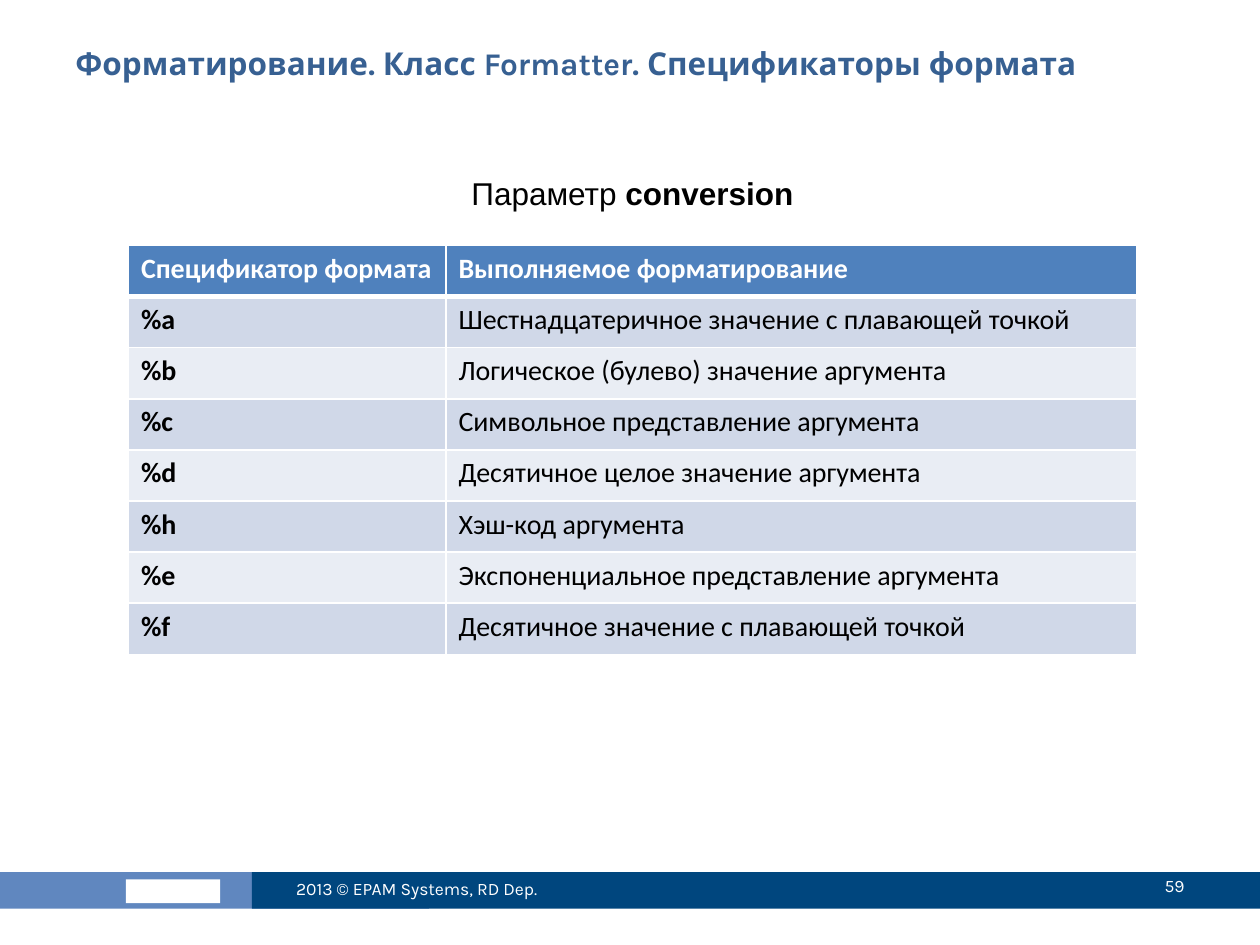
from lxml import etree
from pptx import Presentation
from pptx.dml.color import RGBColor
from pptx.enum.shapes import MSO_SHAPE
from pptx.enum.text import MSO_ANCHOR, PP_ALIGN
from pptx.oxml.ns import qn
from pptx.util import Cm, Pt

RECT = MSO_SHAPE.RECTANGLE
LEFT, CENTER, RIGHT = PP_ALIGN.LEFT, PP_ALIGN.CENTER, PP_ALIGN.RIGHT
TOP, MIDDLE = MSO_ANCHOR.TOP, MSO_ANCHOR.MIDDLE
WHITE, BLACK = "FFFFFF", "000000"
HEADER, BANDS = "4F81BD", ("E9EDF4", "D0D8E8")
ROW_HEIGHT = 1.03


def rgb(value):
    return RGBColor.from_string(value)


def style(font, name, size, color, bold=False):
    font.name, font.size, font.bold = name, Pt(size), bold
    font.color.rgb = rgb(color)


prs = Presentation()
prs.slide_width, prs.slide_height = Cm(25.4), Cm(19.05)
s = prs.slides.add_slide(prs.slide_layouts[6])

# Footer bars, with a plain block where the logo belongs
for left, top, width, height, color in (
    (0, 17.58, 8.65, 0.74, "6087BF"),
    (2.54, 17.73, 1.9, 0.48, WHITE),
    (5.08, 17.58, 20.32, 0.74, "00467E"),
):
    sp = s.shapes.add_shape(RECT, Cm(left), Cm(top), Cm(width), Cm(height))
    sp.shadow.inherit = False
    sp.fill.solid()
    sp.fill.fore_color.rgb = rgb(color)
    sp.line.fill.background()

# Title, subtitle, copyright and page number; each run is (text, bold)
for left, top, width, height, runs, font, size, color, align, anchor in (
    (1.27, 0.76, 22.86, 1.98,
     [("Форматирование. Класс Formatter. Спецификаторы формата", True)],
     "Karla", 18, "376092", LEFT, TOP),
    (2.59, 3.38, 20.32, 1.14, [("Параметр ", False), ("conversion", True)],
     "Arial", 18, BLACK, CENTER, TOP),
    (5.72, 17.4, 6.78, 1.02, [("2013 © EPAM Systems, RD Dep.", False)],
     "Karla", 10, WHITE, LEFT, MIDDLE),
    (21.39, 17.35, 2.74, 1.02, [("59", False)],
     "Karla", 10, WHITE, RIGHT, MIDDLE),
):
    sp = s.shapes.add_textbox(Cm(left), Cm(top), Cm(width), Cm(height))
    tf = sp.text_frame
    tf.word_wrap = True
    tf.vertical_anchor = anchor
    p = tf.paragraphs[0]
    p.alignment = align
    for text, bold in runs:
        r = p.add_run()
        r.text = text
        style(r.font, font, size, color, bold)

# Table of format specifiers
rows = [
    ("Спецификатор формата", "Выполняемое форматирование"),
    ("%a", "Шестнадцатеричное значение с плавающей точкой"),
    ("%b", "Логическое (булево) значение аргумента"),
    ("%c", "Символьное представление аргумента"),
    ("%d", "Десятичное целое значение аргумента"),
    ("%h", "Хэш-код аргумента"),
    ("%e", "Экспоненциальное представление аргумента"),
    ("%f", "Десятичное значение с плавающей точкой"),
]
table = s.shapes.add_table(len(rows), 2, Cm(2.59), Cm(4.95), Cm(20.32),
                           Cm(ROW_HEIGHT * len(rows))).table
for column, width in zip(table.columns, (6.4, 13.92)):
    column.width = Cm(width)

for i, row in enumerate(rows):
    table.rows[i].height = Cm(ROW_HEIGHT)
    for j, text in enumerate(row):
        cell = table.cell(i, j)
        cell.text_frame.text = text
        r = cell.text_frame.paragraphs[0].runs[0]
        style(r.font, "Calibri", 16, BLACK if i else WHITE, i == 0 or j == 0)
        # Borders must precede the fill in the cell properties
        tcPr = cell._tc.get_or_add_tcPr()
        for side in "LRTB":
            thick = (i == 0 and side == "B") or (i == 1 and side == "T")
            ln = etree.SubElement(tcPr, qn(f"a:ln{side}"), w=str(Pt(3 if thick else 1)))
            fill = etree.SubElement(ln, qn("a:solidFill"))
            etree.SubElement(fill, qn("a:srgbClr"), val=WHITE)
        cell.fill.solid()
        cell.fill.fore_color.rgb = rgb(BANDS[i % 2] if i else HEADER)

prs.save("out.pptx")
